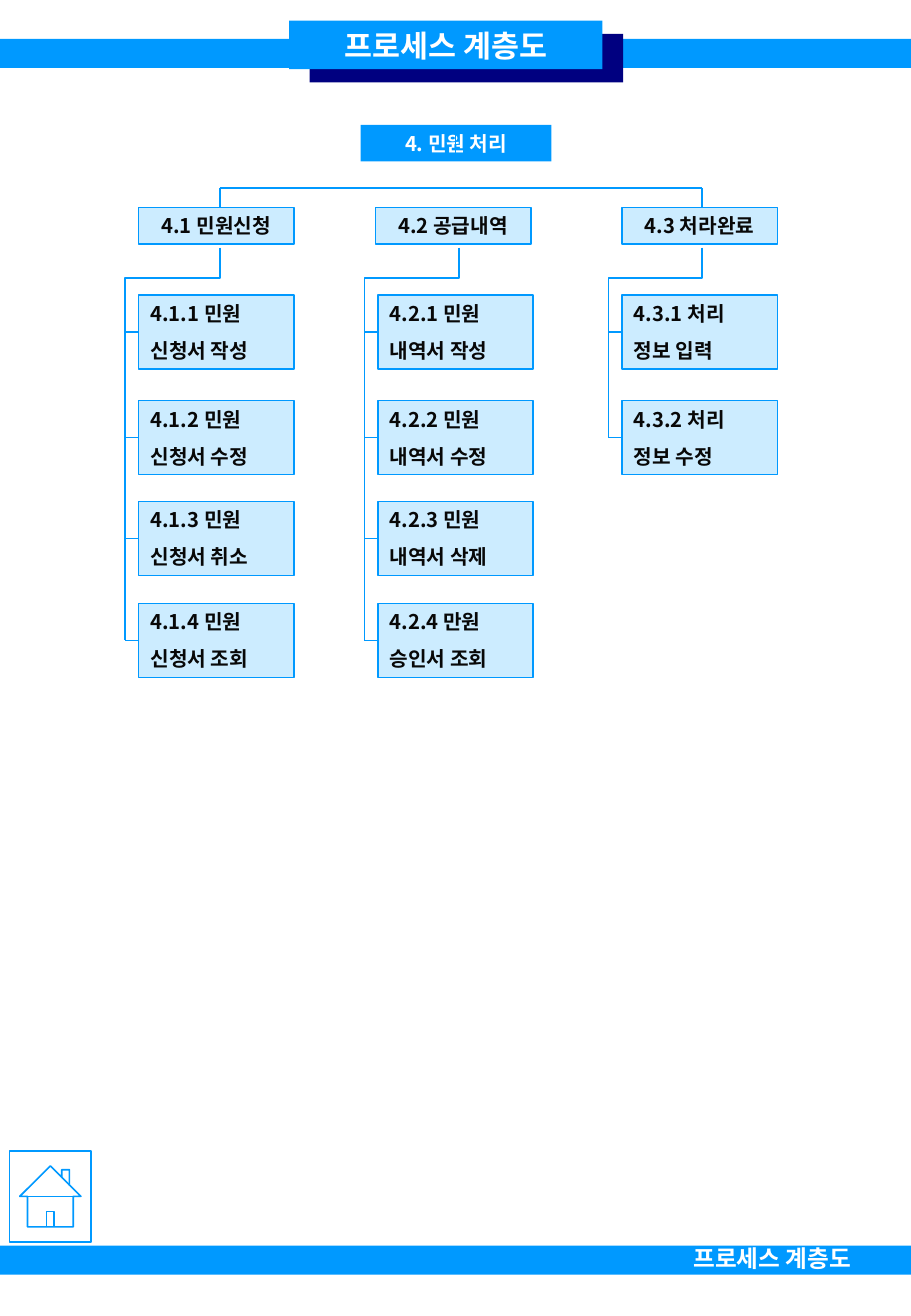
import dataclasses
import typing

import lxml.etree
import pptx
import pptx.dml.color
import pptx.enum.shapes
import pptx.enum.text
import pptx.oxml.ns
import pptx.util

Inches = pptx.util.Inches
Pt = pptx.util.Pt
Align = pptx.enum.text.PP_ALIGN
Preset = pptx.enum.shapes.MSO_SHAPE


@dataclasses.dataclass(frozen=True)
class Theme:
    font: str = "Noto Sans CJK KR"
    blue: str = "0099FF"
    navy: str = "000080"
    pale: str = "CCECFF"
    ink: str = "080808"
    white: str = "FFFFFF"
    title_size: float = 18
    footer_size: float = 14
    box_size: float = 12
    line_gap: float = 7.5
    line_width: float = 1


@dataclasses.dataclass(frozen=True)
class Rect:
    left: float
    top: float
    width: float
    height: float


@dataclasses.dataclass(frozen=True)
class Branch:
    heading: str
    heading_left: float
    left: float
    stem: float
    spine: float
    steps: tuple[tuple[str, str], ...]


THEME = Theme()
BOX_WIDTH = 1.28
HEADING_TOP, HEADING_HEIGHT = 1.71, 0.3
STEP_TOPS, STEP_HEIGHT = (2.43, 3.3, 4.13, 4.97), 0.61
BUS_TOP, STEM_TOP, ELBOW_TOP = 1.55, 2.04, 2.29
BAND_TOPS = (0.32, 10.26)
TITLE = "프로세스 계층도"

BRANCHES = (
    Branch("4.1 민원신청", 1.14, 1.14, 1.81, 1.03, (
        ("4.1.1 민원", "신청서 작성"),
        ("4.1.2 민원", "신청서 수정"),
        ("4.1.3 민원", "신청서 취소"),
        ("4.1.4 민원", "신청서 조회"),
    )),
    Branch("4.2 공급내역", 3.09, 3.11, 3.78, 3.0, (
        ("4.2.1 민원", "내역서 작성"),
        ("4.2.2 민원", "내역서 수정"),
        ("4.2.3 민원", "내역서 삭제"),
        ("4.2.4 만원", "승인서 조회"),
    )),
    Branch("4.3 처라완료", 5.12, 5.12, 5.78, 5.01, (
        ("4.3.1 처리", "정보 입력"),
        ("4.3.2 처리", "정보 수정"),
    )),
)


def rgb(color: str) -> pptx.dml.color.RGBColor:
    return pptx.dml.color.RGBColor.from_string(color)


def apply(target: typing.Any, values: dict[str, typing.Any]) -> None:
    for name, value in values.items():
        setattr(target, name, value)


def place(shape: typing.Any, rect: Rect) -> None:
    apply(shape, {name: Inches(value) for name, value in dataclasses.asdict(rect).items()})


def paint(shape: typing.Any, fill: str | None, outline: str | None) -> None:
    for part, color in ((shape.fill, fill), (shape.line.fill, outline)):
        if color:
            part.solid()
            part.fore_color.rgb = rgb(color)
        else:
            part.background()
    if outline:
        shape.line.width = Pt(THEME.line_width)


def write(shape: typing.Any, lines: tuple[str, ...], size: float, color: str,
          align: Align, anchor: pptx.enum.text.MSO_ANCHOR = pptx.enum.text.MSO_ANCHOR.MIDDLE) -> None:
    frame = shape.text_frame
    apply(frame, {
        "word_wrap": True,
        "auto_size": pptx.enum.text.MSO_AUTO_SIZE.NONE,
        "vertical_anchor": anchor,
        "margin_left": Inches(0.1),
        "margin_right": Inches(0.1),
        "margin_top": Inches(0.05),
        "margin_bottom": Inches(0.05),
    })
    for index, line in enumerate(lines):
        para = frame.add_paragraph() if index else frame.paragraphs[0]
        apply(para, {"alignment": align, "space_before": Pt(THEME.line_gap if index else 0)})
        span = para.add_run()
        span.text = line
        apply(span.font, {"name": THEME.font, "size": Pt(size), "bold": True})
        span.font.color.rgb = rgb(color)
        latin = span.font._element.find(pptx.oxml.ns.qn("a:latin"))
        east_asian = lxml.etree.Element(pptx.oxml.ns.qn("a:ea"), typeface=THEME.font)
        latin.addnext(east_asian)


def add_box(slide: typing.Any, rect: Rect, fill: str | None, outline: str | None = None,
            preset: Preset = Preset.RECTANGLE) -> typing.Any:
    box = slide.shapes.add_shape(preset, 0, 0, 0, 0)
    place(box, rect)
    box.shadow.inherit = False
    paint(box, fill, outline)
    return box


def add_line(slide: typing.Any, start: tuple[float, float], end: tuple[float, float]) -> typing.Any:
    line = slide.shapes.add_connector(
        pptx.enum.shapes.MSO_CONNECTOR.STRAIGHT, *map(Inches, start + end))
    line.line.color.rgb = rgb(THEME.blue)
    line.line.width = Pt(THEME.line_width)
    lxml.etree.SubElement(line.element.spPr, pptx.oxml.ns.qn("a:effectLst"))
    return line


def add_spine(slide: typing.Any, branch: Branch, bottom: float) -> None:
    builder = slide.shapes.build_freeform(Inches(branch.stem), Inches(STEM_TOP), 1.0)
    corners = ((branch.stem, ELBOW_TOP), (branch.spine, ELBOW_TOP), (branch.spine, bottom))
    builder.add_line_segments([(Inches(x), Inches(y)) for x, y in corners], close=False)
    spine = builder.convert_to_shape()
    spine.shadow.inherit = False
    paint(spine, None, THEME.blue)


def add_branch(slide: typing.Any, branch: Branch) -> None:
    heading = add_box(slide, Rect(branch.heading_left, HEADING_TOP, BOX_WIDTH, HEADING_HEIGHT),
                      THEME.pale, THEME.blue)
    write(heading, (branch.heading,), THEME.box_size, THEME.ink, Align.CENTER)
    for lines, top in zip(branch.steps, STEP_TOPS):
        step = add_box(slide, Rect(branch.left, top, BOX_WIDTH, STEP_HEIGHT), THEME.pale, THEME.blue)
        write(step, lines, THEME.box_size, THEME.ink, Align.LEFT)
        middle = top + STEP_HEIGHT / 2
        tick = add_line(slide, (branch.spine, middle), (branch.left, middle))
        tick.end_connect(step, 1)
    add_spine(slide, branch, STEP_TOPS[len(branch.steps) - 1] + STEP_HEIGHT / 2)


def main() -> None:
    deck = pptx.Presentation()
    deck.slide_width, deck.slide_height = Inches(7.5), Inches(10.84)
    slide = deck.slides.add_slide(deck.slide_layouts[5])

    for top in BAND_TOPS:
        add_box(slide, Rect(0, top, 7.5, 0.24), THEME.blue)
    add_box(slide, Rect(2.55, 0.28, 2.58, 0.4), THEME.navy)
    title = slide.shapes.title
    title.element.getparent().append(title.element)
    place(title, Rect(2.38, 0.17, 2.58, 0.4))
    paint(title, THEME.blue, None)
    write(title, (TITLE,), THEME.title_size, THEME.white, Align.CENTER)

    root = add_box(slide, Rect(2.97, 1.03, 1.57, 0.3), THEME.blue)
    write(root, ("4. 민원 처리",), THEME.box_size, THEME.white, Align.CENTER)
    add_line(slide, (3.75, 1.06), (3.75, 1.31))

    for branch in BRANCHES:
        add_branch(slide, branch)
    first, last = BRANCHES[0].stem, BRANCHES[-1].stem
    add_line(slide, (first, BUS_TOP), (last, BUS_TOP))
    for stem in (first, last):
        add_line(slide, (stem, HEADING_TOP), (stem, BUS_TOP))

    footer = slide.shapes.add_textbox(0, 0, 0, 0)
    place(footer, Rect(5.61, 10.2, 1.73, 0.34))
    write(footer, (TITLE,), THEME.footer_size, THEME.white, Align.LEFT, pptx.enum.text.MSO_ANCHOR.TOP)
    add_box(slide, Rect(0.08, 9.48, 0.67, 0.75), None, THEME.blue, Preset.ACTION_BUTTON_HOME)

    deck.save("out.pptx")


if __name__ == "__main__":
    main()
